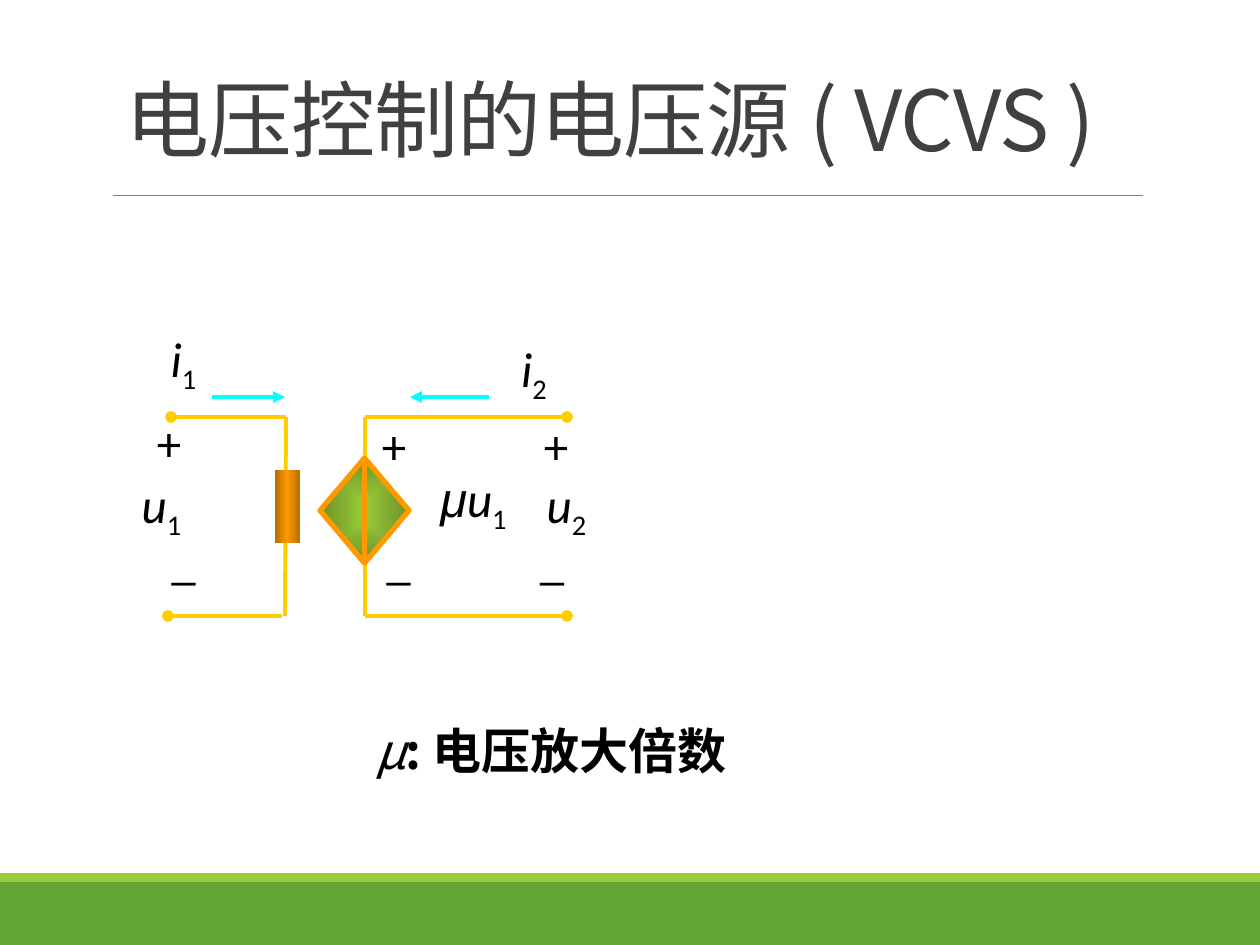
from dataclasses import dataclass

from lxml.etree import SubElement
from pptx import Presentation
from pptx.dml.color import RGBColor
from pptx.enum.shapes import MSO_CONNECTOR, MSO_SHAPE
from pptx.enum.text import MSO_ANCHOR, PP_ALIGN
from pptx.oxml import parse_xml
from pptx.oxml.ns import nsdecls, qn
from pptx.util import Pt

EMU_PER_PX = 914400 / 126


@dataclass(frozen=True)
class Theme:
    """Colours, fonts and type sizes of the slide."""
    ink: str = "000000"
    heading: str = "404040"
    rule: str = "808080"
    band: str = "63A537"
    stripe: str = "99CB38"
    wire: str = "FFCC00"
    current: str = "00FFFF"
    source_line: str = "FF9900"
    source_fill: tuple = ((0, "99CB38"), (100, "6D9128"))
    resistor_fill: tuple = ((0, "B66D00"), (50, "FF9900"), (100, "B66D00"))
    symbol_font: str = "Calibri"
    greek_font: str = "Arial"
    chinese_font: str = "Noto Sans CJK SC"
    title_size: int = 48
    label_size: int = 28


THEME = Theme()


@dataclass(frozen=True)
class Box:
    """A region in px whose contents are placed from its top left corner."""
    left: int
    top: int
    width: int
    height: int

    def inner(self, x, y, width, height):
        """Return a box at an offset inside this one."""
        return Box(self.left + x, self.top + y, width, height)

    def point(self, x, y):
        """Return a slide point at an offset inside this box."""
        return self.left + x, self.top + y

    def emu(self):
        """Return the four lengths in EMU."""
        return [px(v) for v in (self.left, self.top, self.width, self.height)]


def px(length):
    """Turn px into EMU."""
    return round(length * EMU_PER_PX)


def add_text(slide, box, runs, size=THEME.label_size, color=THEME.ink, font=THEME.symbol_font,
             align=PP_ALIGN.CENTER, anchor=MSO_ANCHOR.MIDDLE, line_spacing=None, tracking=None):
    """Add one paragraph from (text, format) runs."""
    frame = slide.shapes.add_textbox(*box.emu()).text_frame
    frame.word_wrap = True
    frame.vertical_anchor = anchor
    paragraph = frame.paragraphs[0]
    paragraph.alignment = align
    paragraph.line_spacing = line_spacing
    for words, style in runs:
        run = paragraph.add_run()
        run.text = words
        run.font.size = Pt(size)
        run.font.bold = style.get("bold", False)
        run.font.italic = style.get("italic", False)
        run.font.color.rgb = RGBColor.from_string(color)
        run.font.name = style.get("font", font)
        properties = run._r.get_or_add_rPr()
        SubElement(properties, qn("a:ea"), typeface=run.font.name)
        if "baseline" in style:
            properties.set("baseline", str(style["baseline"]))
        if tracking:
            properties.set("spc", str(tracking))


def add_symbol(slide, box, letter, subscript, prefix=""):
    """Add an italic quantity with its subscript."""
    greek = [(prefix, {"italic": True, "font": THEME.greek_font})] if prefix else []
    add_text(slide, box, greek + [(letter, {"italic": True}), (subscript, {"baseline": -25000})])


def add_line(slide, start, end, color=THEME.wire, width=2.25, head=None, tail=None):
    """Add a straight line with optional end marks."""
    line = slide.shapes.add_connector(MSO_CONNECTOR.STRAIGHT, *map(px, start + end))
    line.line.color.rgb = RGBColor.from_string(color)
    line.line.width = Pt(width)
    properties = line._element.spPr
    for tag, mark in (("a:headEnd", head), ("a:tailEnd", tail)):
        if mark:
            SubElement(properties.find(qn("a:ln")), qn(tag), type=mark)
    SubElement(properties, qn("a:effectLst"))


def add_figure(slide, box, kind, fill=None, outline=None, width=3):
    """Add a preset shape without shadow."""
    figure = slide.shapes.add_shape(kind, *box.emu())
    figure.shadow.inherit = False
    if fill:
        figure.fill.solid()
        figure.fill.fore_color.rgb = RGBColor.from_string(fill)
    if outline:
        figure.line.color.rgb = RGBColor.from_string(outline)
        figure.line.width = Pt(width)
    else:
        figure.line.fill.background()
    return figure


def set_gradient(figure, stops, direction):
    """Fill a shape with colour stops along a direction element."""
    marks = "".join(f'<a:gs pos="{at * 1000}"><a:srgbClr val="{color}"/></a:gs>' for at, color in stops)
    gradient = parse_xml(f'<a:gradFill {nsdecls("a")} rotWithShape="1">'
                         f'<a:gsLst>{marks}</a:gsLst>{direction}</a:gradFill>')
    figure._element.spPr.find(qn("a:prstGeom")).addnext(gradient)


def draw_footer(slide, box):
    """Draw the green band and its lighter stripe."""
    add_figure(slide, box.inner(0, 9, box.width, box.height - 9), MSO_SHAPE.RECTANGLE, THEME.band)
    add_figure(slide, box.inner(0, 0, box.width, 9), MSO_SHAPE.RECTANGLE, THEME.stripe)


def draw_heading(slide, box):
    """Draw the title and the rule under it."""
    add_text(slide, box.inner(0, 0, box.width, 136), [("电压控制的电压源 ( VCVS )", {})],
             size=THEME.title_size, color=THEME.heading, font=THEME.chinese_font,
             align=PP_ALIGN.LEFT, anchor=MSO_ANCHOR.BOTTOM, line_spacing=0.85, tracking=-50)
    add_line(slide, box.point(0, box.height), box.point(1030, box.height), THEME.rule, 0.5)


def draw_input_port(slide, box):
    """Draw the controlling branch with its resistor."""
    add_line(slide, box.point(58, 93), box.point(173, 93), head="oval")
    add_line(slide, box.point(173, 93), box.point(172, 292))
    add_line(slide, box.point(169, 292), box.point(55, 292), tail="oval")
    add_line(slide, box.point(99, 73), box.point(172, 73), THEME.current, tail="triangle")
    resistor = add_figure(slide, box.inner(162, 146, 25, 73), MSO_SHAPE.RECTANGLE)
    set_gradient(resistor, THEME.resistor_fill, '<a:lin ang="0" scaled="1"/>')
    add_symbol(slide, box.inner(18, 0, 105, 76), "i", "1")
    add_symbol(slide, box.inner(0, 146, 97, 76), "u", "1")
    add_text(slide, box.inner(27, 80, 58, 76), [("+", {})])
    add_text(slide, box.inner(46, 198, 43, 76), [("_", {})])


def draw_output_port(slide, box):
    """Draw the controlled branch with its dependent source."""
    for y in (93, 292):
        add_line(slide, box.point(53, y), box.point(255, y), tail="oval")
    add_line(slide, box.point(53, 93), box.point(53, 292))
    add_line(slide, box.point(177, 73), box.point(98, 73), THEME.current, tail="triangle")
    source = add_figure(slide, box.inner(0, 142, 105, 89), MSO_SHAPE.FLOWCHART_SORT,
                        outline=THEME.source_line)
    source.rotation = 90
    set_gradient(source, THEME.source_fill,
                 '<a:path path="shape"><a:fillToRect l="50000" t="50000" r="50000" b="50000"/></a:path>')
    add_symbol(slide, box.inner(179, 10, 86, 76), "i", "2")
    add_symbol(slide, box.inner(98, 140, 127, 76), "u", "1", prefix="μ")
    add_symbol(slide, box.inner(206, 146, 97, 76), "u", "2")
    for x in (53, 215):
        add_text(slide, box.inner(x, 83, 58, 76), [("+", {})])
    for x, width in ((62, 43), (206, 68)):
        add_text(slide, box.inner(x, 198, width, 76), [("_", {})])


def draw_caption(slide, box):
    """Write the meaning of the gain."""
    add_text(slide, box, [("μ", {"italic": True}), (": 电压放大倍数 ", {"bold": True})],
             font=THEME.chinese_font)


def main():
    """Build and save the slide."""
    deck = Presentation()
    deck.slide_width, deck.slide_height = px(1260), px(945)
    slide = deck.slides.add_slide(deck.slide_layouts[6])
    draw_footer(slide, Box(0, 873, 1260, 72))
    draw_heading(slide, Box(113, 39, 1040, 156))
    draw_input_port(slide, Box(113, 324, 187, 292))
    draw_output_port(slide, Box(312, 324, 303, 292))
    draw_caption(slide, Box(348, 714, 417, 72))
    deck.save("out.pptx")


if __name__ == "__main__":
    main()
